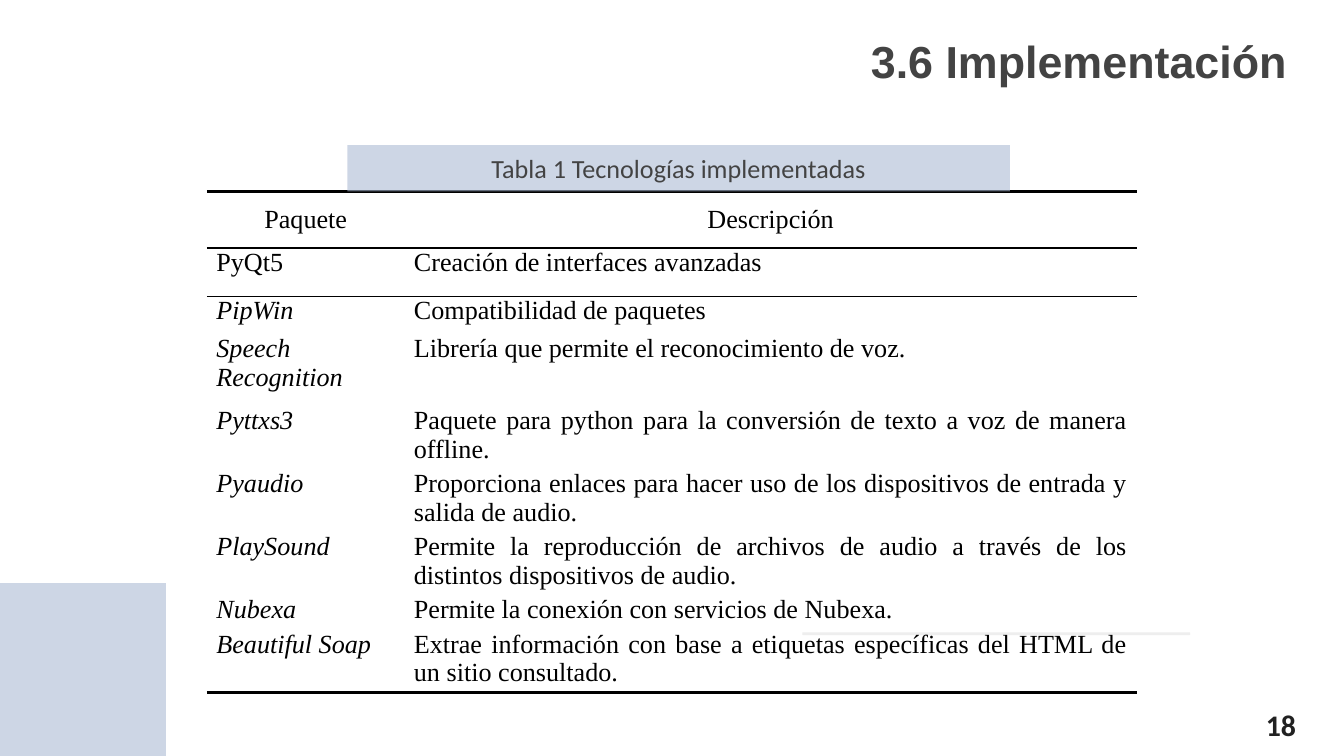
from dataclasses import dataclass

from lxml.etree import SubElement
from pptx import Presentation
from pptx.dml.color import RGBColor as RGB
from pptx.enum.shapes import MSO_SHAPE as Kind
from pptx.enum.text import MSO_ANCHOR as Anchor, PP_ALIGN as Align
from pptx.oxml.ns import qn
from pptx.util import Pt

PX = 4572  # 200 px to the inch


@dataclass(frozen=True)
class Theme:
    accent: str = "A9B9D3"
    grey: str = "434343"
    rule: str = "EEEEEE"
    number: str = "212121"
    ink: str = "000000"
    head: str = "Arial"
    body: str = "Calibri"
    serif: str = "Times New Roman"
    title: int = 24
    page: int = 16
    text: int = 14
    thick: float = 2.25
    thin: float = 1
    alpha: int = 58
    plain: str = "{2D5ABB26-0587-4C30-8999-92F81FD0307C}"  # no style, no grid


T = Theme()
COLS = [294, 1090]
HEAD = ("Paquete", "Descripción")
HEAD_H = 84
ROWS = [
    (72, "PyQt5", "Creación de interfaces avanzadas"),
    (56, "PipWin", "Compatibilidad de paquetes"),
    (108, "Speech Recognition", "Librería que permite el reconocimiento de voz."),
    (72, "Pyttxs3", "Paquete para python para la conversión de texto a voz "
                    "de manera offline."),
    (72, "Pyaudio", "Proporciona enlaces para hacer uso de los dispositivos "
                    "de entrada y salida de audio."),
    (72, "PlaySound", "Permite la reproducción de archivos de audio a través "
                      "de los distintos dispositivos de audio."),
    (52, "Nubexa", "Permite la conexión con servicios de Nubexa."),
    (72, "Beautiful Soap", "Extrae información con base a etiquetas "
                           "específicas del HTML de un sitio consultado."),
]


def px(*vals):
    return [val * PX for val in vals]


def style(para, face, size, color, align=Align.LEFT, bold=False, italic=False):
    para.alignment = align
    font = para.font
    font.name, font.size = face, Pt(size)
    font.bold, font.italic = bold, italic
    font.color.rgb = RGB.from_string(color)


def pad(item, side, ends):
    """Set the inner margins of a text frame or a table cell."""
    item.margin_left = item.margin_right = side * PX
    item.margin_top = item.margin_bottom = ends * PX


def add_block(slide, box, color, alpha=100, kind=Kind.RECTANGLE):
    block = slide.shapes.add_shape(kind, *px(*box))
    block.shadow.inherit = False
    block.line.fill.background()
    block.fill.solid()
    block.fill.fore_color.rgb = RGB.from_string(color)
    if alpha < 100:
        tone = block.fill._xPr.find(".//" + qn("a:srgbClr"))
        SubElement(tone, qn("a:alpha"), val=str(alpha * 1000))
    return block


def set_title(slide, box, text):
    title = slide.shapes.title
    title.left, title.top, title.width, title.height = px(*box)
    frame = title.text_frame
    frame.text = text
    frame.vertical_anchor = Anchor.TOP
    pad(frame, 20, 20)
    style(frame.paragraphs[0], T.head, T.title, T.grey, bold=True)


def add_number(slide, box, text):
    frame = slide.shapes.add_textbox(*px(*box)).text_frame
    frame.word_wrap = True
    frame.text = text
    pad(frame, 20, 20)
    style(frame.paragraphs[0], T.body, T.page, T.number, Align.JUSTIFY, bold=True)


def add_caption(slide, box, text):
    block = add_block(slide, box, T.accent, T.alpha)
    frame = block.text_frame
    frame.text = text
    frame.vertical_anchor = Anchor.MIDDLE
    pad(frame, 20, 20)
    style(frame.paragraphs[0], T.body, T.text, T.grey, Align.CENTER)


def set_edges(cell, top, low):
    """Draw the top and bottom edges; a width of 0 leaves an edge out."""
    props = cell._tc.get_or_add_tcPr()
    for tag, width in (("a:lnT", top), ("a:lnB", low)):
        if width:
            line = SubElement(props, qn(tag), w=str(Pt(width)))
            fill = SubElement(line, qn("a:solidFill"))
            SubElement(fill, qn("a:srgbClr"), val=T.ink)


def fill_cell(cell, text, align, top, low, italic=False):
    set_edges(cell, top, low)
    cell.fill.background()
    cell.text = text
    pad(cell, 14, 0)
    para = cell.text_frame.paragraphs[0]
    style(para, T.serif, T.text, T.ink, align, italic=italic)
    SubElement(para._p, qn("a:endParaRPr"), sz=str(T.text * 100))


def add_grid(slide, left, top, high):
    highs = [HEAD_H] + [row[0] for row in ROWS]
    box = px(left, top, sum(COLS), high)
    frame = slide.shapes.add_table(len(highs), len(COLS), *box)
    grid = frame.table
    grid.first_row = grid.horz_banding = False
    grid._tbl.tblPr.find(qn("a:tableStyleId")).text = T.plain
    for col, wide in zip(grid.columns, COLS):
        col.width = wide * PX
    for row, tall in zip(grid.rows, highs):
        row.height = tall * PX
    frame.height = high * PX

    for col, text in enumerate(HEAD):
        cell = grid.cell(0, col)
        fill_cell(cell, text, Align.CENTER, T.thick, T.thin)
        cell.vertical_anchor = Anchor.MIDDLE
    for num, (_, name, note) in enumerate(ROWS, 1):
        over = T.thin if num == 1 else 0
        low = T.thick if num == len(ROWS) else 0
        fill_cell(grid.cell(num, 0), name, Align.LEFT, over, low, italic=num > 1)
        fill_cell(grid.cell(num, 1), note, Align.JUSTIFY, over, low)


def main():
    deck = Presentation()
    deck.slide_width, deck.slide_height = px(2000, 1125)
    slide = deck.slides.add_slide(deck.slide_layouts[5])
    add_block(slide, (0, 868, 247, 257), T.accent, T.alpha)
    set_title(slide, (1276, 30, 718, 106), "3.6 Implementación")
    add_block(slide, (1194, 941, 577, 4), T.rule, kind=Kind.ROUNDED_RECTANGLE)
    add_number(slide, (1864, 1032, 136, 62), "18")
    add_grid(slide, 308, 285, 746)
    add_caption(slide, (517, 216, 986, 69), "Tabla 1 Tecnologías implementadas")
    deck.save("out.pptx")


if __name__ == "__main__":
    main()
